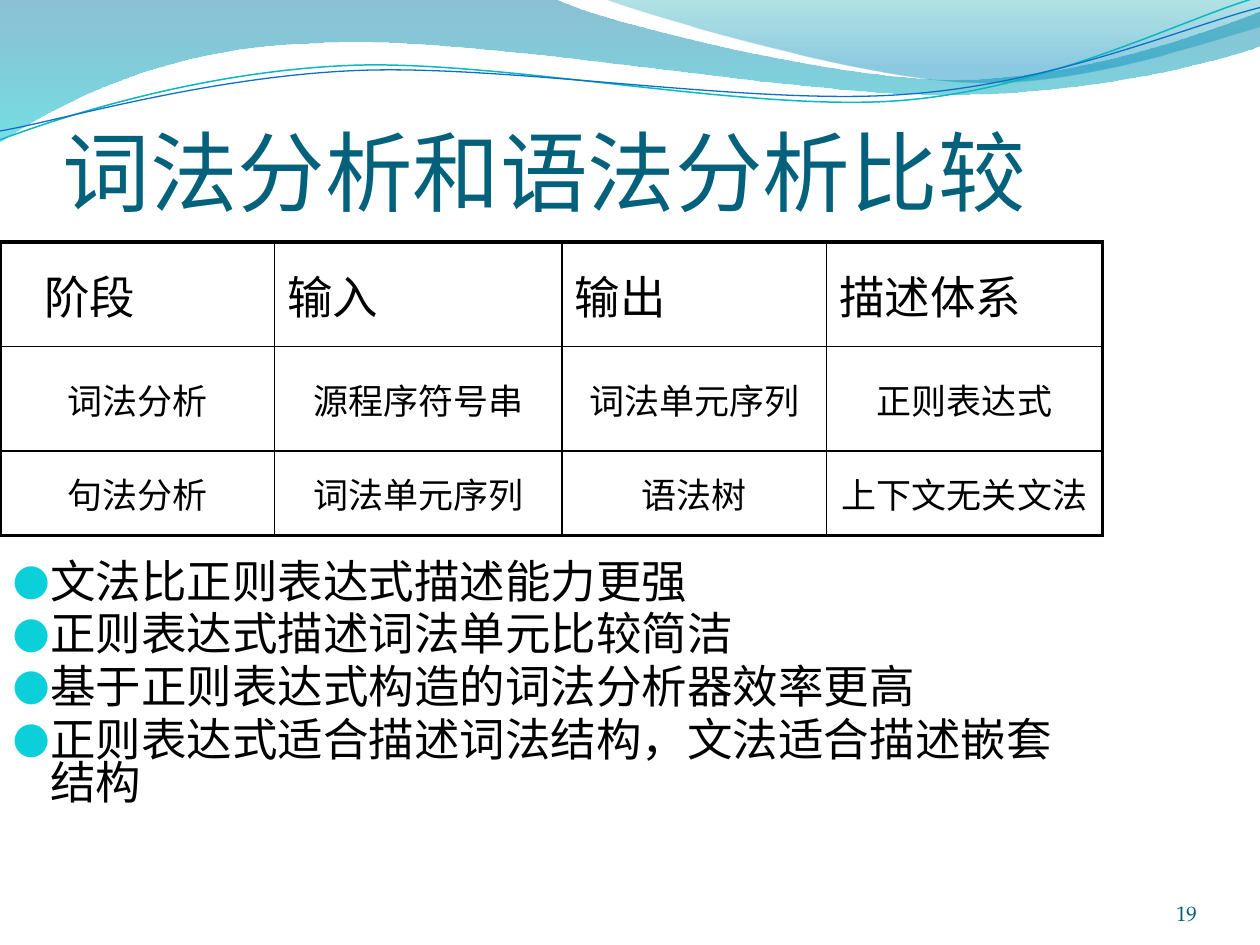
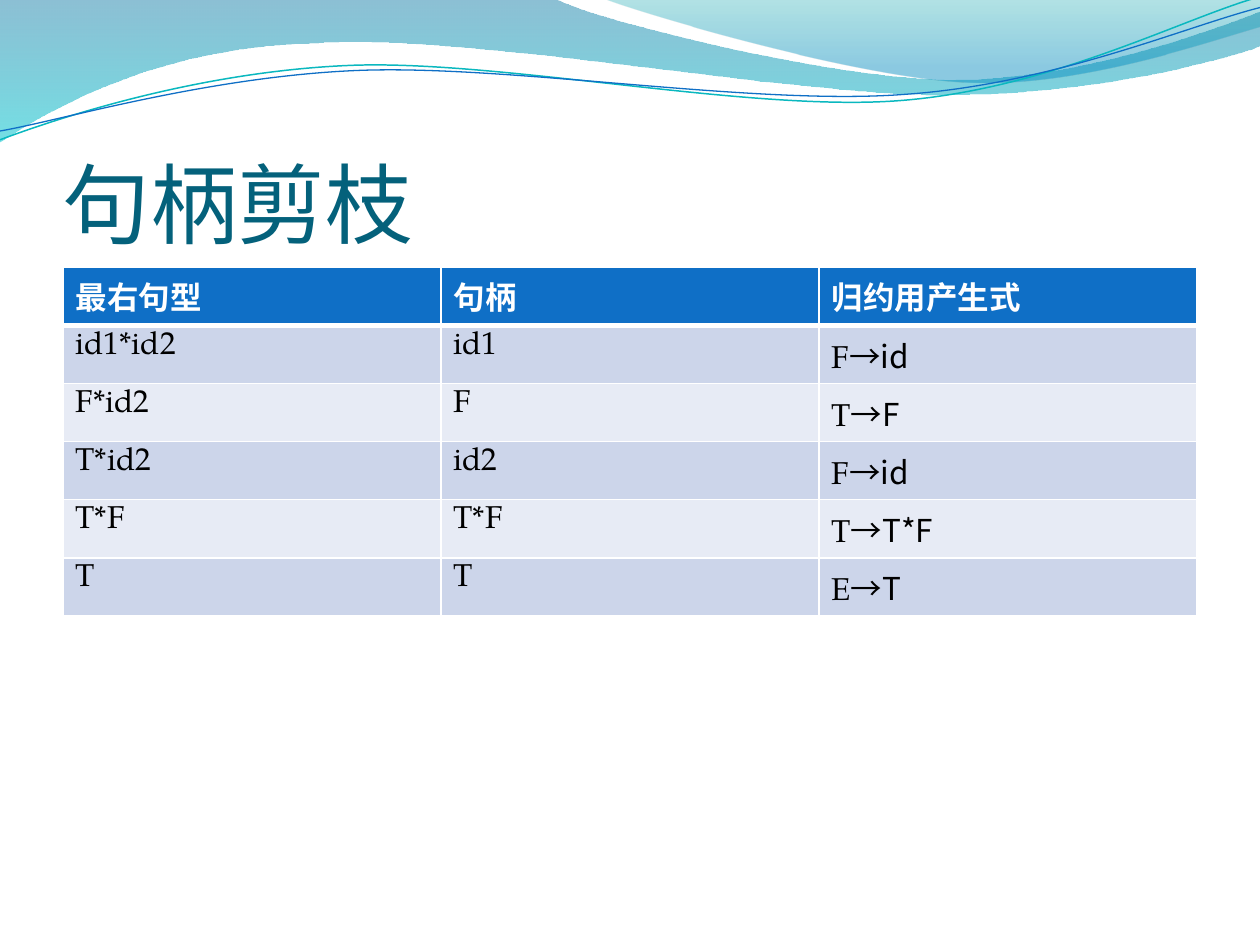
from lxml import etree
from pptx import Presentation
from pptx import util as u
from pptx.dml.color import RGBColor
from pptx.enum import text as t
from pptx.oxml import ns

PX = 9144  # EMU per px, 100 px to the inch
INK = {
    "title": "04617B", "text": "000000", "white": "FFFFFF", "page": "045D75",
    "dot": "0BD0D9", "head": "0F6FC6", "odd": "CCD5EA", "even": "E7EBF5",
    "deep": "0074A1", "aqua": "00C6CF", "teal": "00A1A9", "sky": "008BBF",
    "mint": "0AB8BF", "blue": "0F6FC6",
}
SERIF, SANS, PLAIN, HAN = "TeX Gyre Pagella", "Calibri", "DejaVu Sans", "Noto Sans CJK SC"
BAND = (0, 0, 1000, 114)

# Outlines: a start, then line ends (2 numbers) or cubic curves (6 numbers)
WAVES = [
    ([(0, 0), (440, -1), (476, 17, 664, 63, 758, 63), (853, 63, 958, 26, 1000, 9),
      (1001, 36), (983, 44, 870, 76, 746, 75), (622, 75, 382, 28, 257, 34),
      (129, 36, 46, 83, -1, 113)], [(0, "deep", 45), (1, "aqua", 55)]),
    ([(479, -1), (509, 11, 682, 62, 769, 65), (856, 69, 961, 32, 1000, 21),
      (1000, 0)], [(0, "teal", 30), (0.8, "sky", 45)]),
]
LINES = [
    ([(0, 111), (48, 93, 158, 57, 277, 52), (395, 47, 593, 89, 713, 80),
      (833, 71, 938, 15, 998, -2)], "mint", 0.85),
    ([(0, 104), (47, 96, 164, 61, 283, 56), (403, 51, 597, 84, 717, 75),
      (836, 67, 941, 21, 1000, 6)], "blue", 0.75),
]


def px(n):
    return u.Emu(round(n * PX))


def rgb(name):
    return RGBColor.from_string(INK[name])


def sub(node, tag, **attrs):
    return etree.SubElement(node, ns.qn("a:" + tag), {k: str(v) for k, v in attrs.items()})


def add_run(para, words, size, font, ink, bold=False):
    run = para.add_run()
    run.text = words
    run.font.size, run.font.name, run.font.bold = u.Pt(size), font, bold
    run.font.color.rgb = rgb(ink)
    sub(run.font._element, "ea", typeface=HAN)


def add_box(slide, box, pads, anchor):
    frame = slide.shapes.add_textbox(*map(px, box)).text_frame
    frame.word_wrap, frame.vertical_anchor = True, anchor
    (frame.margin_left, frame.margin_top,
     frame.margin_right, frame.margin_bottom) = map(px, pads)
    return frame


# Top band
def add_path(slide, box, parts, close):
    """Draw straight sides, then bend those that carry control points."""
    spots = [[(px(box[0] + x), px(box[1] + y)) for x, y in zip(part[::2], part[1::2])]
             for part in parts]
    ends = [spot[-1] for spot in spots]
    pen = slide.shapes.build_freeform(*ends[0])
    pen.add_line_segments(ends[1:], close=close)
    shape = pen.convert_to_shape()
    shape.shadow.inherit = False
    sides = list(shape._element.iter(ns.qn("a:lnTo")))
    for side, spot in zip(sides, spots[1:]):
        if len(spot) == 3:
            bend = etree.Element(ns.qn("a:cubicBezTo"))
            for x, y in spot:
                sub(bend, "pt", x=x - shape.left, y=y - shape.top)
            side.getparent().replace(side, bend)
    return shape


def add_band(slide, box):
    for parts, stops in WAVES:
        wave = add_path(slide, box, parts, True)
        wave.line.fill.background()
        wave.fill.gradient()
        wave.fill.gradient_angle = 270
        for stop, (pos, ink, alpha) in zip(wave.fill.gradient_stops, stops):
            stop.position, stop.color.rgb = pos, rgb(ink)
            sub(stop._gs[0], "alpha", val=alpha * 1000)
    for parts, ink, width in LINES:
        curve = add_path(slide, box, parts, False)
        curve.fill.background()
        curve.line.color.rgb, curve.line.width = rgb(ink), u.Pt(width)


def add_title(slide, box, words):
    frame = add_box(slide, box, (0, 5, 0, 0), t.MSO_ANCHOR.BOTTOM)
    add_run(frame.paragraphs[0], words, 50, SANS, "title")


def add_page(slide, box, number):
    frame = add_box(slide, box, (0, 0, 0, 0), t.MSO_ANCHOR.BOTTOM)
    frame.paragraphs[0].alignment = t.PP_ALIGN.RIGHT
    add_run(frame.paragraphs[0], number, 12, SERIF, "page")


def add_list(slide, box, items):
    frame = add_box(slide, box, (10, 5, 10, 5), t.MSO_ANCHOR.TOP)
    for i, words in enumerate(items):
        para = frame.add_paragraph() if i else frame.paragraphs[0]
        para.line_spacing, para.space_before = 0.8, u.Pt(5.2)
        props = para._p.get_or_add_pPr()
        props.set("marL", str(px(30)))
        props.set("indent", str(px(-30)))
        sub(sub(props, "buClr"), "srgbClr", val=INK["dot"])
        sub(props, "buSzPct", val=95000)
        sub(props, "buFont", typeface=PLAIN)
        sub(props, "buChar", char="●")
        add_run(para, words, 26, SERIF, "text")


# Tables
def add_grid(slide, box, cols, rows):
    grid = slide.shapes.add_table(len(rows), len(cols), *map(px, box)).table
    grid.first_row = grid.horz_banding = False
    for col, wide in zip(grid.columns, cols):
        col.width = px(wide)
    for row, high in zip(grid.rows, rows):
        row.height = px(high)
    return grid


def edge(cell, ink, left, right, top, bottom):
    props = cell._tc.get_or_add_tcPr()
    for side, width in zip("LRTB", (left, right, top, bottom)):
        line = sub(props, "ln" + side, w=u.Pt(width))
        sub(sub(line, "solidFill"), "srgbClr", val=INK[ink])


def add_stages(slide, box, data):
    cols, rows = (218, 228, 210, 219), (83, 83, 67)
    grid = add_grid(slide, box, cols, rows)
    for r, line in enumerate(data):
        for c, words in enumerate(line):
            cell = grid.cell(r, c)
            ends = (c == 0, c == len(cols) - 1, r == 0, r == len(rows) - 1)
            edge(cell, "text", *(2.25 if end else 1 for end in ends))
            cell.fill.background()
            cell.vertical_anchor = t.MSO_ANCHOR.MIDDLE
            para = cell.text_frame.paragraphs[0]
            size = 20 if r else 26
            para.space_before = u.Pt(size * 0.2)
            if r:
                para.alignment = t.PP_ALIGN.CENTER
            add_run(para, words, size, PLAIN, "text")
    grid.cell(0, 0).margin_left = px(35)


def add_steps(slide, box, heads, data):
    count = len(data) + 1
    grid = add_grid(slide, box, [box[2] // 3] * 3, [box[3] / count] * count)
    for r, line in enumerate([heads, *data]):
        for c, words in enumerate(line):
            cell = grid.cell(r, c)
            edge(cell, "white", 1, 1, 3 if r == 1 else 1, 1 if r else 3)
            cell.fill.solid()
            cell.fill.fore_color.rgb = rgb(("odd" if r % 2 else "even") if r else "head")
            para = cell.text_frame.paragraphs[0]
            ink = "text" if r else "white"
            left, arrow, right = words.partition("→")
            add_run(para, left, 18, SERIF, ink, r == 0)
            if arrow:
                add_run(para, arrow + right, 18, HAN, ink)


# Slides
def add_slide(deck, title, top):
    slide = deck.slides.add_slide(deck.slide_layouts[6])
    add_band(slide, BAND)
    add_title(slide, (50, top, 900, 125), title)
    return slide


def compare(deck):
    slide = add_slide(deck, "词法分析和语法分析比较", 52)
    add_stages(slide, (0, 192, 875, 233), [
        ("阶段", "输入", "输出", "描述体系"),
        ("词法分析", "源程序符号串", "词法单元序列", "正则表达式"),
        ("句法分析", "词法单元序列", "语法树", "上下文无关文法"),
    ])
    add_page(slide, (867, 695, 83, 40), "19")
    add_list(slide, (0, 442, 875, 225), [
        "文法比正则表达式描述能力更强",
        "正则表达式描述词法单元比较简洁",
        "基于正则表达式构造的词法分析器效率更高",
        "正则表达式适合描述词法结构，文法适合描述嵌套结构",
    ])


def prune(deck):
    slide = add_slide(deck, "句柄剪枝", 77)
    add_steps(slide, (50, 212, 900, 277), ("最右句型", "句柄", "归约用产生式"), [
        ("id1*id2", "id1", "F→id"),
        ("F*id2", "F", "T→F"),
        ("T*id2", "id2", "F→id"),
        ("T*F", "T*F", "T→T*F"),
        ("T", "T", "E→T"),
    ])


def main():
    deck = Presentation()
    deck.slide_width, deck.slide_height = px(1000), px(750)
    compare(deck)
    prune(deck)
    deck.save("out.pptx")


if __name__ == "__main__":
    main()
